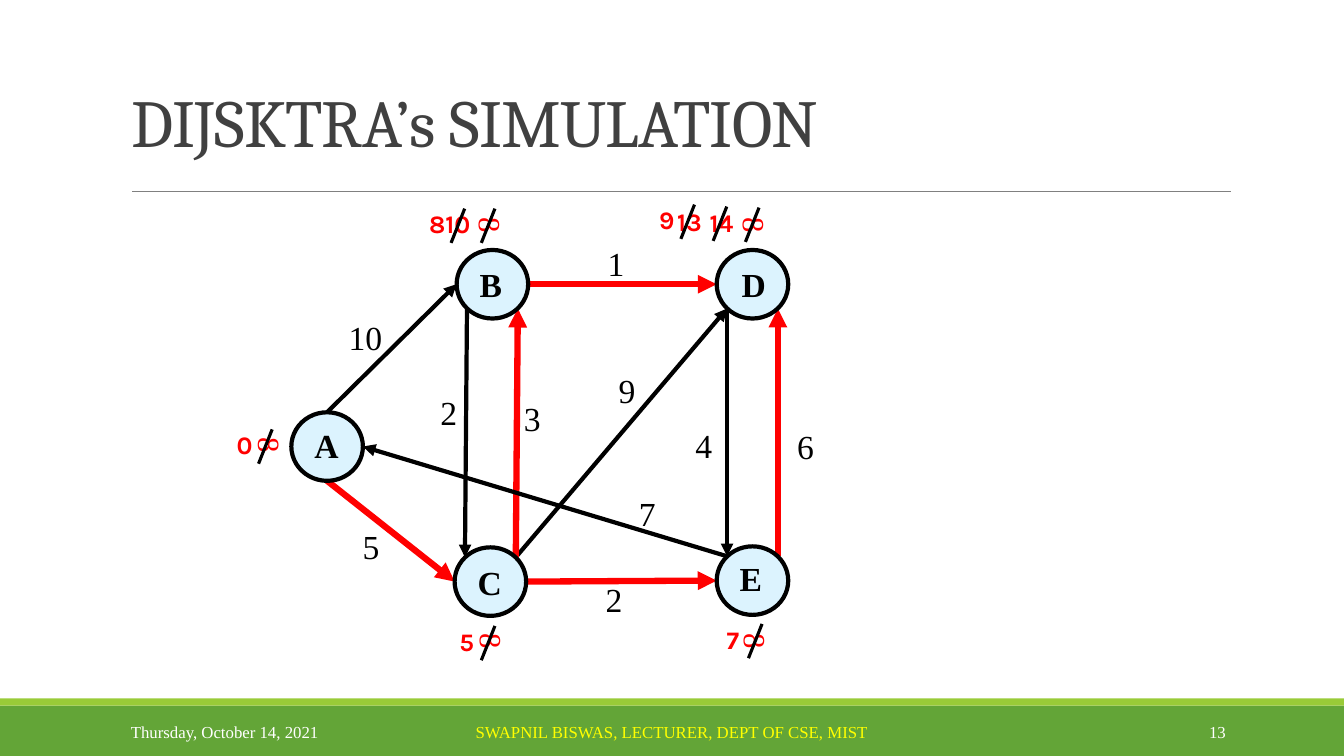
"""Build the slide that simulates shortest paths on a five-node graph."""
from lxml.etree import SubElement
from pptx import Presentation
from pptx.dml.color import RGBColor
from pptx.enum.shapes import MSO_CONNECTOR, MSO_SHAPE
from pptx.enum.text import MSO_ANCHOR, MSO_AUTO_SIZE, PP_ALIGN
from pptx.oxml.ns import qn
from pptx.util import Inches, Pt

COLS, ROWS = 133.33, 75
NODE_W, NODE_H = 7.1, 6.8
BLACK, RED, WHITE = "000000", "FF0000", "FFFFFF"
SERIF, SANS = "Times New Roman", "Karla"

SITES = {"t": (0, -1), "b": (0, 1), "l": (-1, 0), "r": (1, 0),
         "tl": (-0.71, -0.71), "tr": (0.71, -0.71),
         "bl": (-0.71, 0.71), "br": (0.71, 0.71)}

# name: left, top, letter left, letter top, letter width
NODES = {"A": (28.9, 40.9, 30.2, 41.7, 4.5),
         "B": (45.3, 24.8, 46.6, 25.7, 4.3),
         "C": (45.1, 54.3, 46.4, 55.3, 4.5),
         "D": (71.1, 24.8, 72.6, 25.7, 4.5),
         "E": (71.1, 54.2, 72.4, 54.9, 4.3)}

# start, site, end, site, on shortest path, weight, weight left, weight top
EDGES = [("B", "r", "D", "l", True, "1", 59.3, 23.6),
         ("E", "tr", "D", "br", True, "6", 78.1, 41.8),
         ("C", "r", "E", "l", True, "2", 59.1, 56.9),
         ("C", "tr", "D", "bl", False, "9", 60.4, 36.2),
         ("C", "tr", "B", "br", True, "3", 51, 39),
         ("A", "b", "C", "l", True, "5", 35, 51.7),
         ("A", "t", "B", "l", False, "10", 33.6, 30.9),
         ("B", "bl", "C", "tl", False, "2", 42.7, 38.4),
         ("D", "bl", "E", "tl", False, "4", 68, 41.7),
         ("E", "tl", "A", "r", False, "7", 62.4, 48.4)]

INFINITIES = [(25, 41.9), (46.9, 20), (73.1, 20), (47, 61.3), (73.2, 61.3)]
DISTANCES = [("0", 22.5, 42.1), ("10", 43.2, 20.2), ("8", 41.6, 20.2),
             ("5", 44.6, 61.6), ("14", 69.4, 20.1), ("13", 66.2, 20),
             ("9", 64.4, 19.8), ("7", 71.1, 61.4)]


def cell(n):
    """Turn a count of grid cells into a length."""
    return Inches(n / 10)


def color(hex_value):
    """Turn a hex string into a colour."""
    return RGBColor.from_string(hex_value)


def style(p, size, font, hex_value, bold=False):
    """Format every run of a paragraph."""
    for r in p.runs:
        r.font.size, r.font.name, r.font.bold = Pt(size), font, bold
        r.font.color.rgb = color(hex_value)


def add_label(s, text, box, size, font, hex_value, bold=False):
    """Add a one-line text box that fits its text."""
    sp = s.shapes.add_textbox(*map(cell, box))
    tf = sp.text_frame
    tf.text = text
    tf.word_wrap, tf.auto_size = False, MSO_AUTO_SIZE.SHAPE_TO_FIT_TEXT
    style(tf.paragraphs[0], size, font, hex_value, bold)
    return sp


def add_line(s, start, end, hex_value, width, arrow=False):
    """Add a straight line, with an arrowhead if asked."""
    sp = s.shapes.add_connector(MSO_CONNECTOR.STRAIGHT, *map(cell, (*start, *end)))
    sp.line.color.rgb, sp.line.width = color(hex_value), Pt(width)
    if arrow:
        SubElement(sp.line._get_or_add_ln(), qn("a:tailEnd"), type="triangle")
    SubElement(sp._element.spPr, qn("a:effectLst"))


def add_filled(s, kind, box, fill, outline=None):
    """Add a flat preset shape."""
    sp = s.shapes.add_shape(kind, *map(cell, box))
    sp.shadow.inherit = False
    sp.fill.solid()
    sp.fill.fore_color.rgb = color(fill)
    if outline:
        sp.line.color.rgb, sp.line.width = color(outline), Pt(3)
    else:
        sp.line.fill.background()


def add_footer(s, text, left, width, hex_value, align):
    """Add one text of the footer bar."""
    sp = s.shapes.add_textbox(*map(cell, (left, 70.6, width, 4)))
    tf = sp.text_frame
    tf.text = text
    tf.word_wrap, tf.vertical_anchor = True, MSO_ANCHOR.MIDDLE
    tf.paragraphs[0].alignment = align
    style(tf.paragraphs[0], 12, SERIF, hex_value)


def set_title(s, text):
    """Place and format the title."""
    sp = s.shapes.title
    sp.left, sp.top, sp.width, sp.height = map(cell, (12, 0.6, 110, 15.9))
    tf = sp.text_frame
    tf.text = text
    tf.vertical_anchor = MSO_ANCHOR.BOTTOM
    p = tf.paragraphs[0]
    p.alignment, p.line_spacing = PP_ALIGN.LEFT, 0.85
    style(p, 48, "Cambria", "404040")
    p.runs[0].font._element.set("spc", "-50")


def site(node, side):
    """Find a point on the rim of a node."""
    left, top = NODES[node][:2]
    dx, dy = SITES[side]
    return left + NODE_W / 2 * (1 + dx), top + NODE_H / 2 * (1 + dy)


def add_edge(s, start, start_side, end, end_side, chosen, weight, left, top):
    """Add an arrow between two nodes and its weight."""
    add_line(s, site(start, start_side), site(end, end_side),
             RED if chosen else BLACK, 4.5 if chosen else 3, arrow=True)
    add_label(s, weight, (left, top, 2.1 + 1.6 * len(weight), 5), 24, SERIF, BLACK)


def add_node(s, name, left, top, text_left, text_top, text_width):
    """Add a node and its letter."""
    add_filled(s, MSO_SHAPE.OVAL, (left, top, NODE_W, NODE_H), "DCF3FE", BLACK)
    add_label(s, name, (text_left, text_top, text_width, 5), 24, SERIF, BLACK, True)


def add_distance(s, text, left, top):
    """Add a distance and the stroke through the value it replaces."""
    width = 2 + 1.4 * len(text)
    x, y = left + width + 1.1, top + 0.5
    add_line(s, (x, y), (x - 1.35, y + 3.4), BLACK, 2.25)
    add_label(s, text, (left, top, width, 4), 18, SANS, RED, True)


def main():
    """Build and save the slide."""
    prs = Presentation()
    prs.slide_width, prs.slide_height = cell(COLS), cell(ROWS)
    s = prs.slides.add_slide(prs.slide_layouts[5])
    add_filled(s, MSO_SHAPE.RECTANGLE, (0, 70, COLS, 5), "63A537")
    add_filled(s, MSO_SHAPE.RECTANGLE, (0, 69.3, COLS, 0.7), "99CB38")
    add_line(s, (13.1, 19), (122.1, 19), "808080", 0.5)
    set_title(s, "DIJSKTRA’s SIMULATION")
    add_footer(s, "Thursday, October 14, 2021", 12, 27, WHITE, PP_ALIGN.LEFT)
    add_footer(s, "SWAPNIL BISWAS, LECTURER, DEPT OF CSE, MIST", 40.3, 52.7,
               "FFFF00", PP_ALIGN.CENTER)
    add_footer(s, "13", 108.3, 14.3, WHITE, PP_ALIGN.RIGHT)
    for edge in EDGES:
        add_edge(s, *edge)
    for left, top in INFINITIES:
        add_label(s, "8", (left, top, 3.6, 4.7), 22, SERIF, RED).rotation = 90
    for distance in DISTANCES:
        add_distance(s, *distance)
    for name, place in NODES.items():
        add_node(s, name, *place)
    prs.save("out.pptx")


if __name__ == "__main__":
    main()
